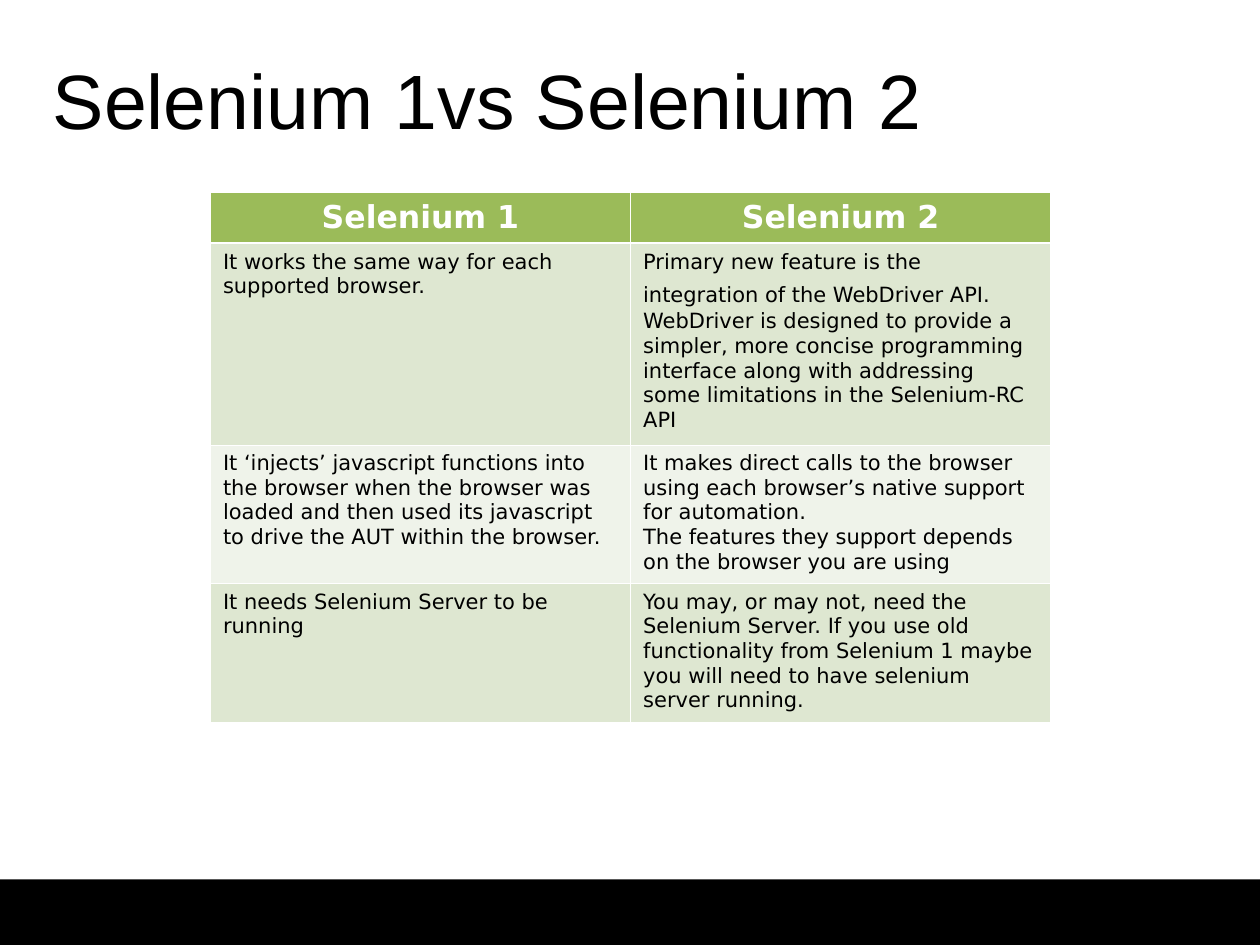
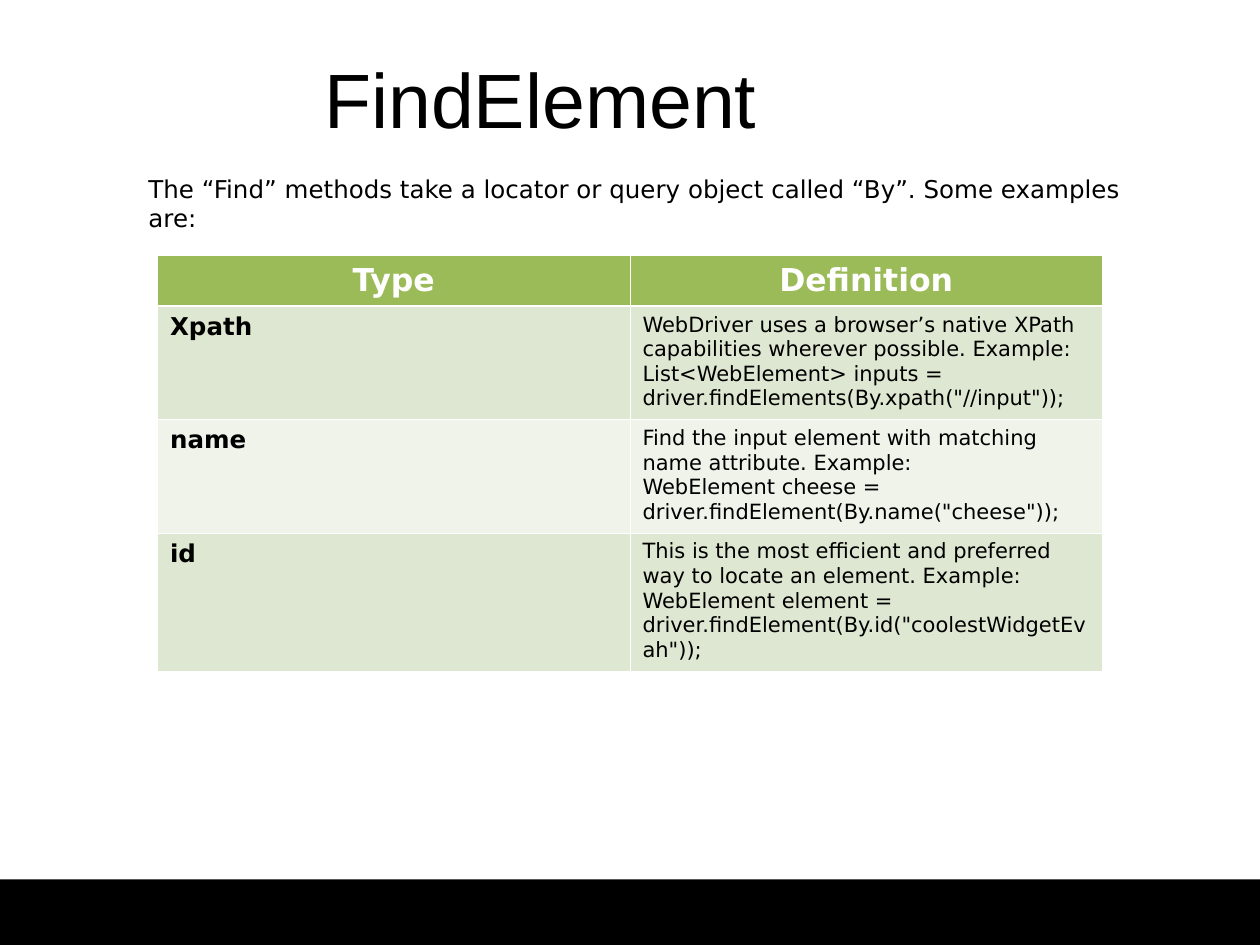
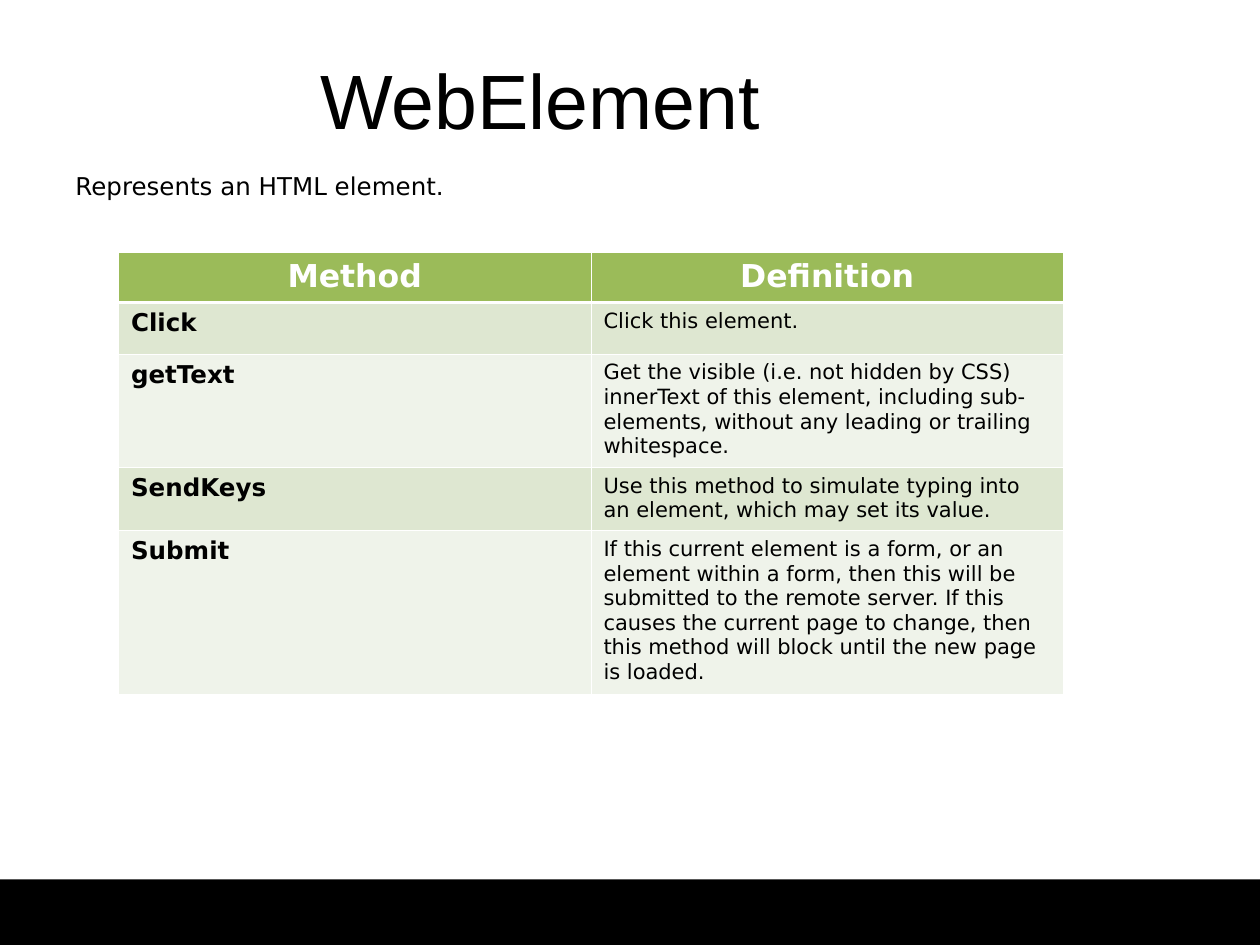
from lxml import etree
from pptx import Presentation
from pptx import util as u
from pptx.dml.color import RGBColor
from pptx.enum import shapes, text
from pptx.oxml import ns

COLUMNS, ROWS = 100, 75
UNIT = u.Inches(10) // COLUMNS
BLACK, WHITE, GREEN = "000000", "FFFFFF", "9BBB59"
STRIPES = ("DEE7D1", "EFF3EA")
THIN, THICK = 0.45, 1.47
TITLE = dict(name="Arial", size=u.Pt(44), bold=False)
INTRO = dict(name="DejaVu Sans", size=u.Pt(14), bold=False)
HEADING = dict(name="DejaVu Sans", size=u.Pt(18), bold=True)
TERM = dict(name="DejaVu Sans", size=u.Pt(14), bold=True)
DETAIL = dict(name="DejaVu Sans", size=u.Pt(12), bold=False)
LEFT, CENTER = text.PP_ALIGN.LEFT, text.PP_ALIGN.CENTER

COMPARISON = [
    ("Selenium 1", "Selenium 2"),
    ("It works the same way for each supported browser.",
     "Primary new feature is the integration of the WebDriver API.| |"
     "WebDriver is designed to provide a simpler, more concise programming interface "
     "along with addressing some limitations in the Selenium-RC API"),
    ("It ‘injects’ javascript functions into the browser when the browser was loaded "
     "and then used its javascript to drive the AUT within the browser.",
     "It makes direct calls to the browser using each browser’s native support for "
     "automation.\nThe features they support depends on the browser you are using"),
    ("It needs Selenium Server to be running",
     "You may, or may not, need the Selenium Server. If you use old functionality from "
     "Selenium 1 maybe you will need to have selenium server running."),
]
LOCATORS = [
    ("Type", "Definition"),
    ("Xpath",
     "WebDriver uses a browser’s native XPath capabilities wherever possible. Example:\n"
     'List<WebElement> inputs = driver.findElements(By.xpath("//input"));'),
    ("name",
     "Find the input element with matching name attribute. Example:\n"
     'WebElement cheese = driver.findElement(By.name("cheese"));'),
    ("id",
     "This is the most efficient and preferred way to locate an element. Example:\n"
     'WebElement element = driver.findElement(By.id("coolestWidgetEvah"));'),
]
METHODS = [
    ("Method", "Definition"),
    ("Click", "Click this element."),
    ("getText",
     "Get the visible (i.e. not hidden by CSS) innerText of this element, including "
     "sub-elements, without any leading or trailing whitespace."),
    ("SendKeys",
     "Use this method to simulate typing into an element, which may set its value."),
    ("Submit",
     "If this current element is a form, or an element within a form, then this will be "
     "submitted to the remote server. If this causes the current page to change, then "
     "this method will block until the new page is loaded."),
]


def color(code):
    """Turn a hex string into a colour."""
    return RGBColor.from_string(code)


def grid(*steps):
    """Turn grid steps into lengths."""
    return [u.Emu(round(step * UNIT)) for step in steps]


def paint(shape, code):
    """Fill a shape or cell with one colour."""
    shape.fill.solid()
    shape.fill.fore_color.rgb = color(code)


def write(frame, wording, style, ink=BLACK, align=LEFT):
    """Write lines as paragraphs; bars set off runs, and a blank run is 18 pt Arial."""
    for number, line in enumerate(wording.split("\n")):
        paragraph = frame.add_paragraph() if number else frame.paragraphs[0]
        paragraph.alignment = align
        for part in line.split("|"):
            run = paragraph.add_run()
            run.text = part
            look = style if part.strip() else dict(style, name="Arial", size=u.Pt(18))
            for key, value in look.items():
                setattr(run.font, key, value)
            run.font.color.rgb = color(ink)


def add_words(slide, area, wording, style, align=LEFT, inset=0.5):
    """Add a wrapping text box with the given top inset."""
    frame = slide.shapes.add_textbox(*grid(*area)).text_frame
    frame.word_wrap = True
    frame.margin_top = grid(inset)[0]
    write(frame, wording, style, align=align)


def add_page(deck, title, left=3.3, top=3, align=CENTER):
    """Add a slide with its title and bottom band."""
    slide = deck.slides.add_slide(deck.slide_layouts[6])
    band = slide.shapes.add_shape(
        shapes.MSO_SHAPE.RECTANGLE, *grid(0, 69.8, COLUMNS, 5.5))
    band.shadow.inherit = False
    paint(band, BLACK)
    band.line.fill.background()
    add_words(slide, (left, top, 79.2, 6.2), title, TITLE, align, inset=1.2)
    return slide


def add_borders(cell, top, bottom):
    """Draw white lines on the four sides of a cell."""
    properties = cell._tc.get_or_add_tcPr()
    sides = dict(lnL=THIN, lnR=THIN, lnT=top, lnB=bottom)
    for place, (side, points) in enumerate(sides.items()):
        line = etree.Element(ns.qn("a:" + side), w=str(u.Pt(points)))
        fill = etree.SubElement(line, ns.qn("a:solidFill"))
        etree.SubElement(fill, ns.qn("a:srgbClr"), val=WHITE)
        properties.insert(place, line)


def add_grid_table(slide, left, top, width, heights, content, term=TERM):
    """Add a two-column table with a green heading and striped rows."""
    area = grid(left, top, width, sum(heights))
    table = slide.shapes.add_table(len(content), 2, *area).table
    for row, (height, entries) in enumerate(zip(heights, content)):
        table.rows[row].height = grid(height)[0]
        for column, wording in enumerate(entries):
            cell = table.cell(row, column)
            if row == 0:
                paint(cell, GREEN)
                write(cell.text_frame, wording, HEADING, WHITE, CENTER)
            else:
                paint(cell, STRIPES[(row - 1) % 2])
                write(cell.text_frame, wording, DETAIL if column else term)
            add_borders(cell, THICK if row == 1 else THIN, THIN if row else THICK)


def main():
    """Build the three slides."""
    deck = Presentation()
    deck.slide_width, deck.slide_height = grid(COLUMNS, ROWS)

    versions = add_page(deck, "Selenium 1vs Selenium 2", left=3.2, align=LEFT)
    add_grid_table(versions, 16.7, 15.3, 66.7, (4, 16, 11, 11), COMPARISON, term=DETAIL)

    finding = add_page(deck, "FindElement", top=2.9)
    add_words(finding, (10.8, 13.3, 79.2, 6.7),
              "The “Find” methods take a locator or query object called “By”. "
              "Some examples are:", INTRO)
    add_grid_table(finding, 12.5, 20.3, 75, (4, 9, 9, 11), LOCATORS)

    element = add_page(deck, "WebElement")
    add_words(element, (5, 9.2, 90, 53.3), "Represents an HTML element.", INTRO, inset=4.4)
    add_grid_table(element, 9.4, 20, 75, (4, 4.1, 9, 5, 13), METHODS)

    deck.save("out.pptx")


if __name__ == "__main__":
    main()
